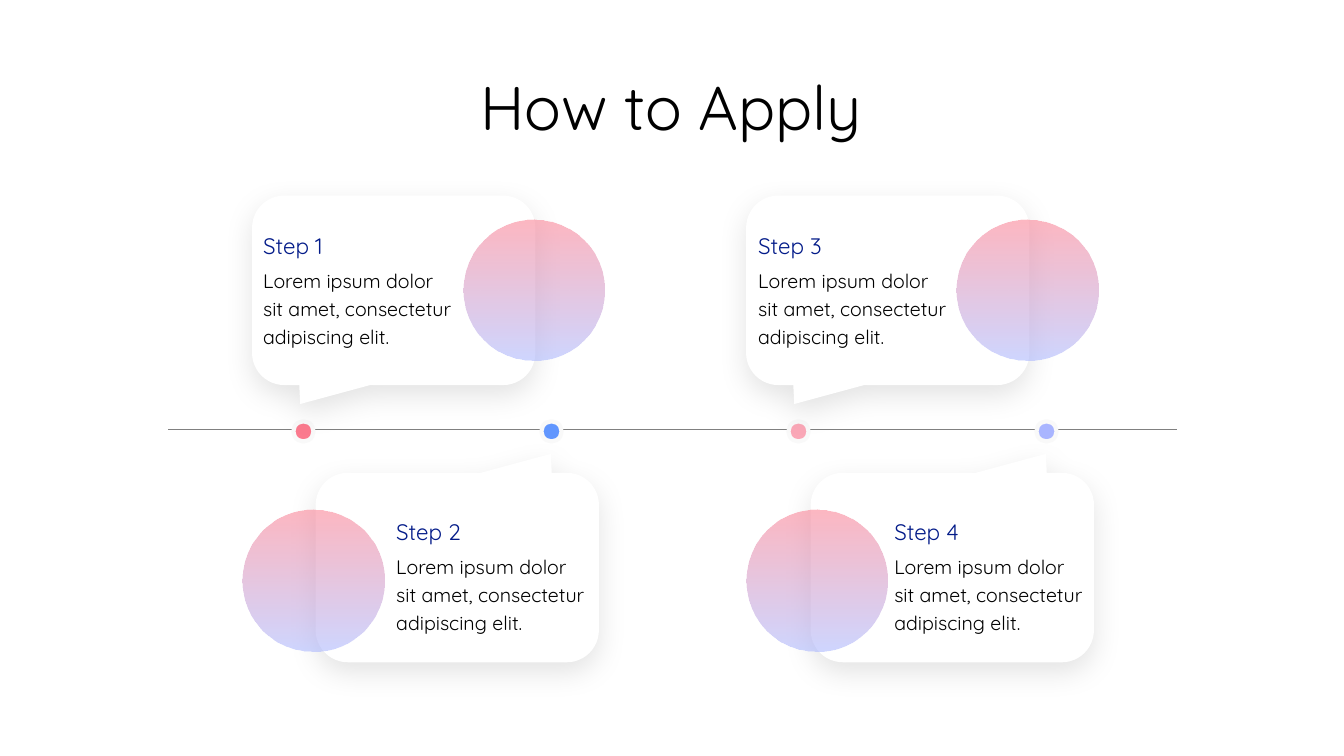
"""Build the four-step How to Apply timeline slide."""
from pptx import Presentation
from pptx import oxml, util as u
from pptx.dml.color import RGBColor
from pptx.enum import shapes, text
from pptx.oxml import ns

PX = 9144
THEME = {
    "font": "Quicksand", "title": 44, "head": 16, "body": 14,
    "ink": "000000", "navy": "031B89", "card": "FFFFFF",
    "rail": "808080", "ring": "F9F9F9",
    "fade": (("FB7A8E", 54), ("A9B5FF", 56)),
    "dots": ("FB7A8E", "6196FE", "FAA7B7", "A9B5FF"),
}
BODY = "Lorem ipsum dolor sit amet, consectetur adipiscing elit."
STEPS = (
    {"card": (250, 194), "disc": (460, 218), "words": (261, 220), "turn": 0},
    {"card": (313, 469), "disc": (241, 506), "words": (393, 504), "turn": 180},
    {"card": (740, 194), "disc": (949, 218), "words": (752, 220), "turn": 0},
    {"card": (804, 469), "disc": (740, 506), "words": (887, 504), "turn": 180},
)
SHADOW = (
    f'<a:outerShdw {ns.nsdecls("a")} blurRad="{u.Pt(21)}" dist="{u.Pt(7)}" '
    'dir="5400000" algn="t" rotWithShape="0"><a:srgbClr val="000000">'
    '<a:alpha val="11000"/></a:srgbClr></a:outerShdw>'
)


def add_form(kind, x, y, w, h):
    form = slide.shapes.add_shape(kind, x * PX, y * PX, w * PX, h * PX)
    form.shadow.inherit = False
    form.line.fill.background()
    return form


def add_words(words, x, y, w, h, size, ink, space, align=None, anchor="TOP"):
    box = slide.shapes.add_textbox(x * PX, y * PX, w * PX, h * PX)
    frame = box.text_frame
    frame.word_wrap = True
    frame.auto_size = text.MSO_AUTO_SIZE.SHAPE_TO_FIT_TEXT
    frame.vertical_anchor = text.MSO_ANCHOR[anchor]
    frame.margin_left = frame.margin_right = 0
    frame.margin_top = frame.margin_bottom = 5 * PX
    para = frame.paragraphs[0]
    para.line_spacing = space
    para.alignment = align
    run = para.add_run()
    run.text = words
    run.font.name = THEME["font"]
    run.font.size = u.Pt(THEME[size])
    run.font.color.rgb = RGBColor.from_string(THEME[ink])


deck = Presentation()
deck.slide_width, deck.slide_height = 1333 * PX, 750 * PX
slide = deck.slides.add_slide(deck.slide_layouts[6])

rail = slide.shapes.add_connector(
    shapes.MSO_CONNECTOR.STRAIGHT, 167 * PX, 426 * PX, 1167 * PX, 426 * PX)
rail.line.width = u.Pt(0.25)
rail.line.color.rgb = RGBColor.from_string(THEME["rail"])
rail.element.spPr.append(oxml.parse_xml(f'<a:effectLst {ns.nsdecls("a")}/>'))

for i, hue in enumerate(THEME["dots"]):
    dot = add_form(shapes.MSO_SHAPE.OVAL, 291 + round(i * 737 / 3), 418, 20, 20)
    dot.fill.solid()
    dot.fill.fore_color.rgb = RGBColor.from_string(hue)
    dot.line.color.rgb = RGBColor.from_string(THEME["ring"])
    dot.line.width = u.Pt(3)

add_words("How to Apply", 66, 77, 1199, 69, "title", "ink", 0.8,
          text.PP_ALIGN.CENTER, "MIDDLE")

for i, step in enumerate(STEPS, 1):
    card = add_form(shapes.MSO_SHAPE.ROUNDED_RECTANGULAR_CALLOUT,
                    *step["card"], 281, 188)
    for k, value in enumerate((-0.33, 0.6, 0.17)):
        card.adjustments[k] = value
    card.rotation = step["turn"]
    card.fill.solid()
    card.fill.fore_color.rgb = RGBColor.from_string(THEME["card"])
    glow = card.element.spPr.find(ns.qn("a:effectLst"))
    glow.append(oxml.parse_xml(SHADOW))

    disc = add_form(shapes.MSO_SHAPE.OVAL, *step["disc"], 140, 140)
    disc.fill.gradient()
    disc.fill.gradient_angle = 270
    for stop, (hue, _) in zip(disc.fill.gradient_stops, THEME["fade"]):
        stop.color.rgb = RGBColor.from_string(hue)
    tints = disc.element.spPr.iter(ns.qn("a:srgbClr"))
    for tint, (_, alpha) in zip(tints, THEME["fade"]):
        tint.append(oxml.parse_xml(
            f'<a:alpha {ns.nsdecls("a")} val="{alpha * 1000}"/>'))

    x, y = step["words"]
    add_words(f"Step {i}", x, y, 190, 41, "head", "navy", 1.2)
    add_words(BODY, x, y + 37, 190, 94, "body", "ink", 1.2)

deck.save("out.pptx")
